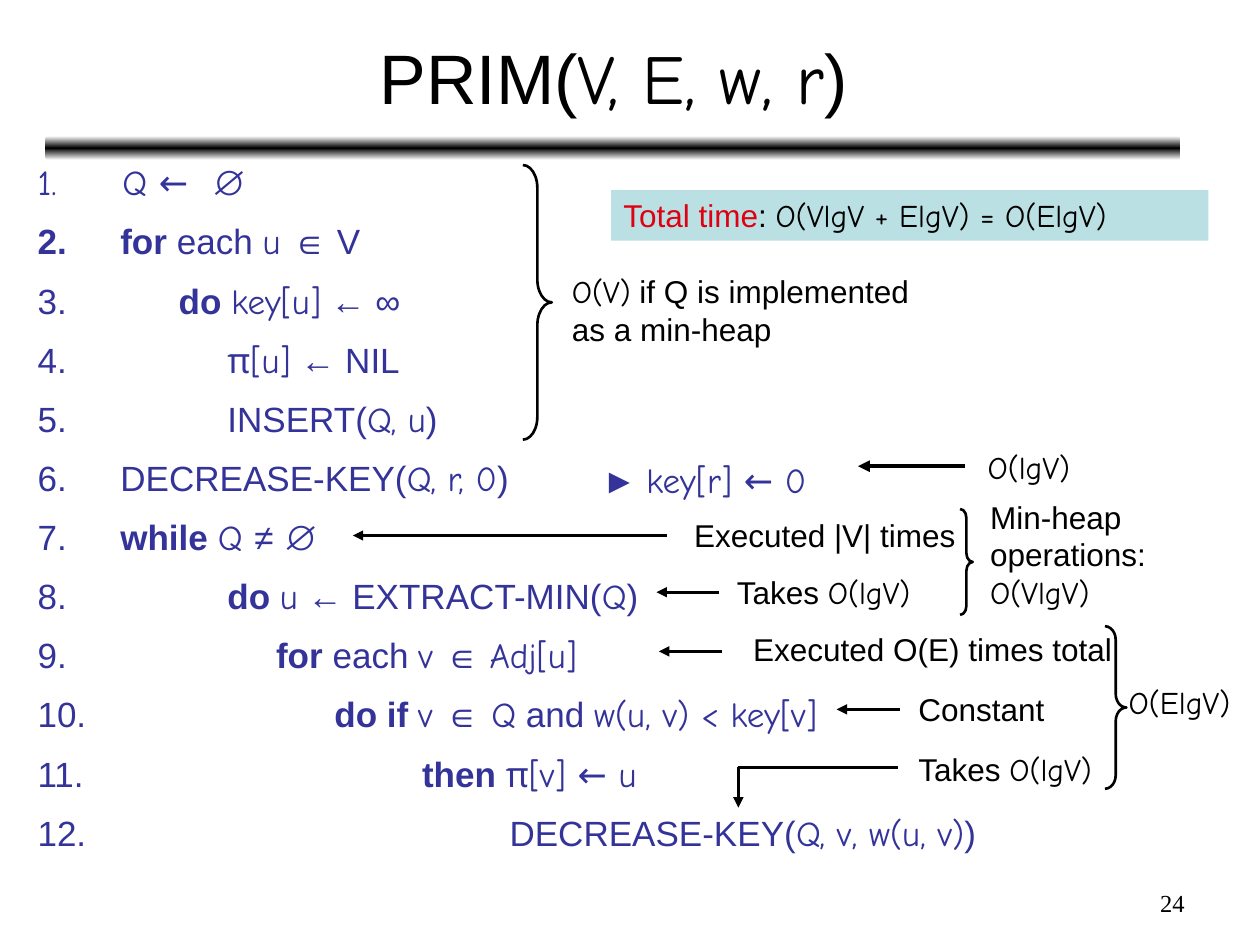
from copy import deepcopy
from pptx import Presentation
from pptx.dml.color import RGBColor
from pptx.enum.shapes import MSO_CONNECTOR as Line, MSO_SHAPE as Shape
from pptx.enum.text import MSO_ANCHOR as Anchor, PP_ALIGN as Align
from pptx.oxml.ns import qn
from pptx.util import Inches, Pt
from lxml import etree

BLACK = RGBColor(0x00, 0x00, 0x00)
WHITE = RGBColor(0xFF, 0xFF, 0xFF)
INDIGO = RGBColor(0x33, 0x33, 0x99)
RED = RGBColor(0xDD, 0x01, 0x11)
PALE_TEAL = RGBColor(0xBB, 0xE0, 0xE3)
PLAIN, HAND, BOLD, ALERT = "plain", "hand", "bold", "alert"

prs = Presentation()
prs.slide_width, prs.slide_height = Inches(10), Inches(7.5)
slide = prs.slides.add_slide(prs.slide_layouts[6])
shapes = slide.shapes


def write(paragraph, pieces, size, color=BLACK):
    for text, style in pieces:
        run = paragraph.add_run()
        run.text = text
        run.font.size = Pt(size)
        run.font.name = "Comic Neue" if style == HAND else "Arial"
        run.font.bold = style == BOLD
        run.font.color.rgb = RED if style == ALERT else color


def add_text(left, top, width, height, pieces=(), size=18, color=BLACK):
    box = shapes.add_textbox(Inches(left), Inches(top), Inches(width), Inches(height))
    box.text_frame.word_wrap = True
    write(box.text_frame.paragraphs[0], pieces, size, color)
    return box


# Rule under the title
rule = shapes.add_shape(Shape.ROUNDED_RECTANGLE, Inches(0.36), Inches(1.08), Inches(9.01), Inches(0.19))
rule.shadow.inherit = False
rule.line.fill.background()
rule.fill.gradient()
rule.fill.gradient_angle = 90
stop_list = rule._element.spPr.find(qn("a:gradFill")).find(qn("a:gsLst"))
stop_list.append(deepcopy(stop_list[0]))
for stop, position, color in zip(rule.fill.gradient_stops, (0, 0.5, 1), (WHITE, BLACK, WHITE)):
    stop.position = position
    stop.color.rgb = color

# Title
title = add_text(0.37, 0.11, 9, 0.99, [("PRIM(", PLAIN), ("V, E, w, r", HAND), (")", PLAIN)], 40)
title.text_frame.vertical_anchor = Anchor.MIDDLE
title.text_frame.paragraphs[0].alignment = Align.CENTER

# Numbered pseudocode: indent level in characters, then the pieces of the line
code_lines = [
    (0, [(" Q ←  ", HAND), ("∅", PLAIN)]),
    (0, [(" for ", BOLD), ("each ", PLAIN), ("u ", HAND), ("∈ V", PLAIN)]),
    (6, [(" ", PLAIN), ("do ", BOLD), ("key[u]", HAND), (" ← ∞", PLAIN)]),
    (11, [(" ", PLAIN), ("π[u]", HAND), (" ← NIL", PLAIN)]),
    (11, [(" INSERT(", PLAIN), ("Q, u", HAND), (")", PLAIN)]),
    (0, [(" DECREASE-KEY(", PLAIN), ("Q, r, 0", HAND), (")", PLAIN)]),
    (0, [(" ", PLAIN), ("while ", BOLD), ("Q ", HAND), ("≠ ∅", PLAIN)]),
    (11, [(" ", PLAIN), ("do ", BOLD), ("u", HAND), (" ← EXTRACT-MIN(", PLAIN), ("Q", HAND), (")", PLAIN)]),
    (16, [(" ", PLAIN), ("for ", BOLD), ("each ", PLAIN), ("v ", HAND), ("∈ ", PLAIN), ("Adj[u]", HAND)]),
    (22, [(" ", PLAIN), ("do if ", BOLD), ("v ", HAND), ("∈", PLAIN), (" Q", HAND), (" and ", PLAIN),
          ("w(u, v) < key[v]", HAND)]),
    (31, [(" ", PLAIN), ("then ", BOLD), ("π[v] ← u", HAND)]),
    (40, [(" DECREASE-KEY(", PLAIN), ("Q, v, w(u, v)", HAND), (")", PLAIN)]),
]
code = add_text(0.2, 1.16, 9.27, 6.12).text_frame
for number, (level, pieces) in enumerate(code_lines):
    line = code.add_paragraph() if number else code.paragraphs[0]
    line.line_spacing = 1.2
    line.space_before = Pt(5)
    indent = Inches(0.58 + level * 5.56 / 72)
    properties = line._p.get_or_add_pPr()
    properties.set("marL", str(indent))
    properties.set("indent", str(-indent))
    etree.SubElement(properties, qn("a:buFont"), typeface="+mj-lt")
    etree.SubElement(properties, qn("a:buAutoNum"), type="arabicPeriod")
    write(line, pieces, 20, INDIGO)
add_text(4.68, 3.59, 2, 0.42, [("► ", PLAIN), ("key[r] ← 0", HAND)], 20, INDIGO)

# Running-time notes
notes = [
    (4.44, 2.11, 3.14, 0.7, [("O(V)", HAND), (" if Q is implemented as a min-heap", PLAIN)]),
    (7.74, 3.51, 1.2, 0.4, [("O(lgV)", HAND)]),
    (5.41, 4.05, 2.35, 0.4, [("Executed |V| times", PLAIN)]),
    (5.75, 4.5, 1.78, 0.4, [("Takes ", PLAIN), ("O(lgV)", HAND)]),
    (5.88, 4.95, 3.06, 0.4, [("Executed O(E) times total", PLAIN)]),
    (7.19, 5.43, 1.28, 0.4, [("Constant", PLAIN)]),
    (7.19, 5.9, 1.78, 0.4, [("Takes ", PLAIN), ("O(lgV)", HAND)]),
    (8.86, 5.37, 1.18, 0.4, [("O(ElgV)", HAND)]),
]
for note in notes:
    add_text(*note)
heap_cost = add_text(7.76, 3.9, 1.8, 1, [("Min-heap operations:", PLAIN)])
write(heap_cost.text_frame.add_paragraph(), [("O(VlgV)", HAND)], 18)

# Total time
total = add_text(4.85, 1.51, 4.74, 0.4,
                 [("Total time", ALERT), (": ", PLAIN), ("O(VlgV + ElgV) = O(ElgV)", HAND)])
total.fill.solid()
total.fill.fore_color.rgb = PALE_TEAL

# Braces
for left, top, width, height in [(4.15, 1.31, 0.23, 2.18), (7.62, 4.04, 0.1, 0.84), (8.77, 4.97, 0.17, 1.29)]:
    brace = shapes.add_shape(Shape.RIGHT_BRACE, Inches(left), Inches(top), Inches(width), Inches(height))
    brace.shadow.inherit = False
    brace.adjustments[0] = height / width / 12
    brace.fill.background()
    brace.line.color.rgb = BLACK
    brace.line.width = Pt(1.5)

# Arrows from the notes to the code
arrows = [
    (7.66, 3.7, 6.81, 3.7, 2.25, True),
    (5.29, 4.25, 2.8, 4.25, 1.5, True),
    (5.71, 4.7, 5.21, 4.7, 1.5, True),
    (5.73, 5.17, 5.23, 5.17, 1.5, True),
    (7.14, 5.63, 6.64, 5.63, 1.5, True),
    (5.86, 6.09, 7.13, 6.09, 1.5, False),
    (5.86, 6.09, 5.86, 6.41, 1.5, True),
]
for x1, y1, x2, y2, weight, pointed in arrows:
    arrow = shapes.add_connector(Line.STRAIGHT, Inches(x1), Inches(y1), Inches(x2), Inches(y2))
    arrow.line.color.rgb = BLACK
    arrow.line.width = Pt(weight)
    if pointed:
        etree.SubElement(arrow.line._get_or_add_ln(), qn("a:tailEnd"), type="triangle")
    etree.SubElement(arrow._element.spPr, qn("a:effectLst"))

# Slide number
page = add_text(7.17, 7, 2.33, 0.35, [("24", PLAIN)], 14).text_frame.paragraphs[0]
page.alignment = Align.RIGHT
page.runs[0].font.name = "Times New Roman"

prs.save("out.pptx")
